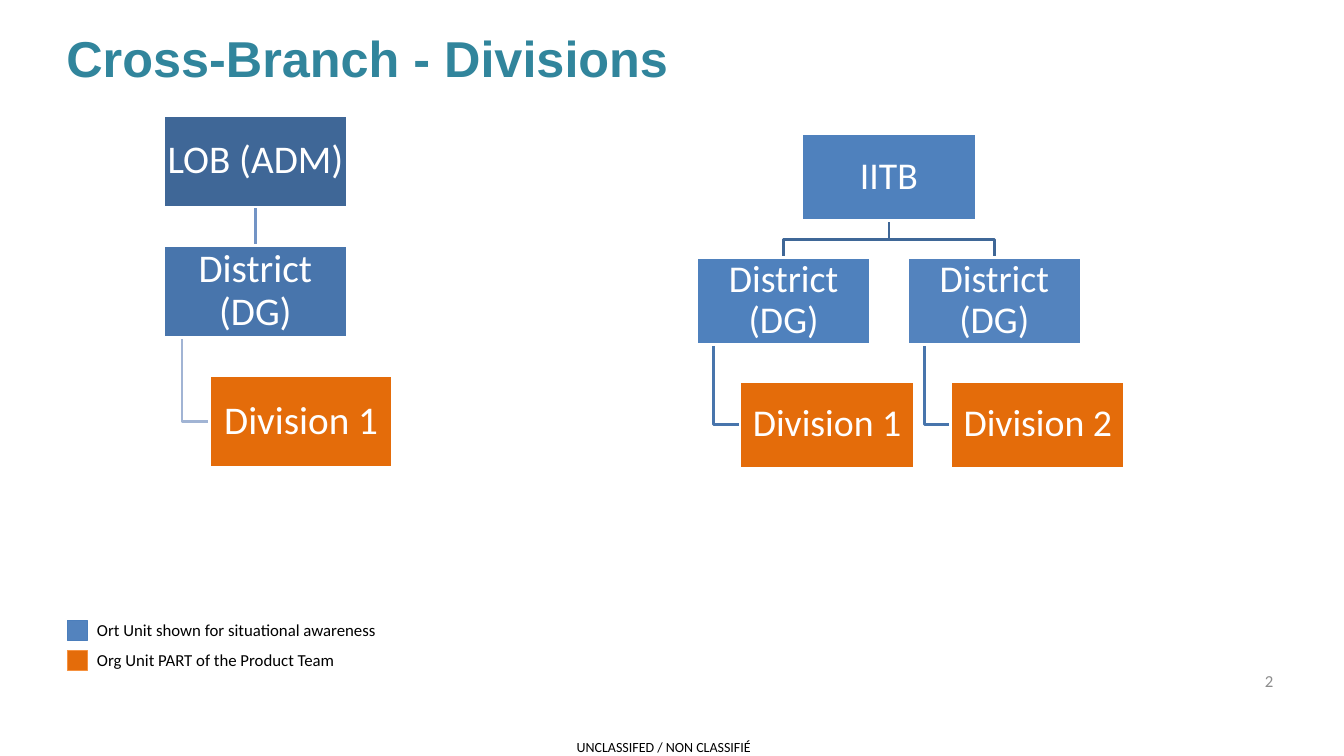
"""Build the cross-branch divisions slide with two organisation trees."""
from pptx import Presentation
from pptx import util as u
from pptx.dml import color
from pptx.enum import shapes, text

Pt = u.Pt
ALIGN = text.PP_ALIGN
MID = text.MSO_ANCHOR.MIDDLE
TOP = text.MSO_ANCHOR.TOP
ORANGE = "E46C0A"


def rgb(code):
    """Turn a hex string into a colour."""
    return color.RGBColor.from_string(code)


def write(shape, words, size, code, align=ALIGN.LEFT, anchor=TOP,
          pads=(7.2, 3.6, 7.2, 3.6), font="Calibri", bold=False, space=1.0):
    """Set one styled paragraph in a shape."""
    frame = shape.text_frame
    frame.text = words
    frame.word_wrap = True
    frame.vertical_anchor = anchor
    (frame.margin_left, frame.margin_top,
     frame.margin_right, frame.margin_bottom) = map(Pt, pads)
    para = frame.paragraphs[0]
    para.alignment = align
    para.line_spacing = space
    face = para.runs[0].font
    face.name, face.size, face.bold = font, Pt(size), bold
    face.color.rgb = rgb(code)


def label(slide, box, words, size, code, **style):
    """Add a text box."""
    area = slide.shapes.add_textbox(*map(Pt, box))
    write(area, words, size, code, **style)


def block(slide, box, fill, edge, width):
    """Add a filled rectangle."""
    rect = slide.shapes.add_shape(shapes.MSO_SHAPE.RECTANGLE, *map(Pt, box))
    rect.shadow.inherit = False
    rect.fill.solid()
    rect.fill.fore_color.rgb = rgb(fill)
    rect.line.color.rgb = rgb(edge)
    rect.line.width = Pt(width)
    return rect


def link(slide, points, code):
    """Draw an open line through the points."""
    start, *rest = [(Pt(x), Pt(y)) for x, y in points]
    build = slide.shapes.build_freeform(*start)
    build.add_line_segments(rest, close=False)
    line = build.convert_to_shape()
    line.shadow.inherit = False
    line.fill.background()
    line.line.color.rgb = rgb(code)
    line.line.width = Pt(2)


def tree(slide, box, size, root, arms, stem, hook):
    """Place a root unit above its districts, each with one division."""
    left, top, wide, high = box
    step, drop = 1.21 * wide, 1.42 * high
    head = left + step * (len(arms) - 1) / 2
    mid = head + wide / 2
    row, low = top + drop, top + 2 * drop
    bend = (top + high + row) / 2
    units = [(head, top, *root)]
    for i, (fill, name) in enumerate(arms):
        x = left + i * step
        side, inner, core = x + wide / 10, x + wide / 4, x + wide / 2
        link(slide, [(side, row + high), (side, low + high / 2),
                     (inner, low + high / 2)], hook)
        turn = [(mid, bend), (core, bend)] if core != mid else []
        link(slide, [(mid, top + high), *turn, (core, row)], stem)
        units += [(x, row, fill, "District (DG)"), (inner, low, ORANGE, name)]
    for x, y, fill, name in units:
        rect = block(slide, (x, y, wide, high), fill, "FFFFFF", 2)
        write(rect, name, size, "FFFFFF", align=ALIGN.CENTER, anchor=MID,
              pads=(1.4,) * 4, space=0.9)


def legend(slide, box, rows):
    """List colour keys with their meanings."""
    left, top, wide, step = box
    for i, (fill, edge, words) in enumerate(rows):
        y = top + i * step
        block(slide, (left, y + 4, 14.2, 14.2), fill, edge, 0.75)
        label(slide, (left + 14.2, y, wide, step), words, 12, "000000")


def main():
    """Build and save the slide."""
    deck = Presentation()
    deck.slide_width, deck.slide_height = Pt(960), Pt(540)
    slide = deck.slides.add_slide(deck.slide_layouts[6])
    label(slide, (410.4, 527.8, 127.4, 12.2), "UNCLASSIFED / NON CLASSIFIÉ",
          10, "000000", align=ALIGN.CENTER, pads=(0,) * 4)
    label(slide, (692.6, 471.6, 224, 28.8), "2", 12, "8C8C8C",
          align=ALIGN.RIGHT, anchor=MID)
    label(slide, (40.3, 0, 865.4, 52.6), "Cross-Branch - Divisions", 36,
          "31859C", anchor=MID, pads=(7.2, 33.1, 7.2, 3.6), font="Arial",
          bold=True)
    tree(slide, (116.9, 82.4, 131, 65.5), 28, ("3F6797", "LOB (ADM)"),
         [("4875AC", "Division 1")], "7394C5", "A1B4D4")
    tree(slide, (497.5, 95.6, 124.4, 62.2), 27, ("4F81BD", "IITB"),
         [("4F81BD", "Division 1"), ("5383BE", "Division 2")],
         "3F6797", "4875AC")
    legend(slide, (48, 439.3, 219, 21.4),
           [("5383BE", "4B7EBC", "Ort Unit shown for situational awareness"),
            (ORANGE, "F69240", "Org Unit PART of the Product Team")])
    deck.save("out.pptx")


if __name__ == "__main__":
    main()
